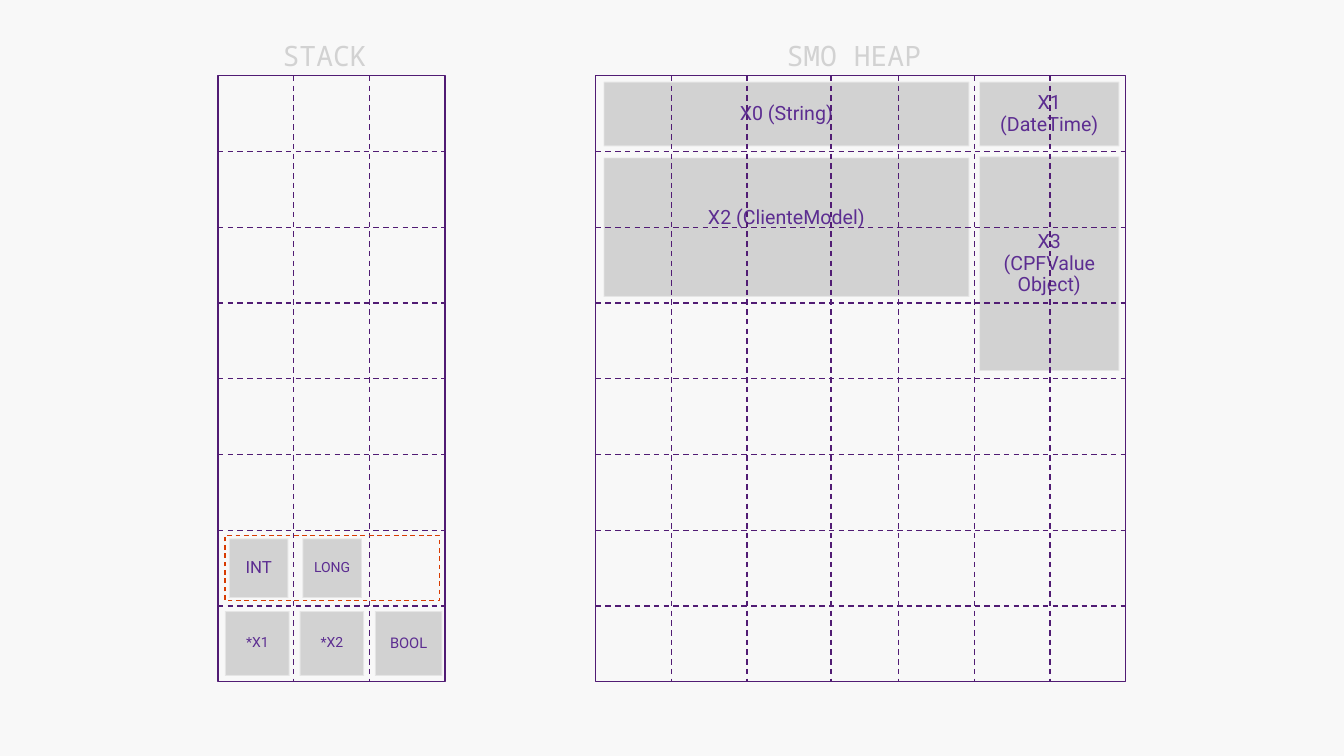
import pptx
import pptx.util
import pptx.dml.color
import pptx.enum.dml
import pptx.enum.shapes
import pptx.enum.text
import pptx.oxml.ns
import lxml.etree

Cm = pptx.util.Cm
Pt = pptx.util.Pt
RECT = pptx.enum.shapes.MSO_SHAPE.RECTANGLE
DASH = pptx.enum.dml.MSO_LINE.DASH
ANCHOR = pptx.enum.text.MSO_ANCHOR
PURPLE, VIOLET, ORANGE, GREY, PALE = "511C74", "5C2D91", "D83B01", "D2D2D2", "F9F9F9"
TOP, TALL, ROWS = 1.91, 15.27, 8
STACK = (5.49, TOP, 5.73, TALL)
HEAP = (15.01, TOP, 13.36, TALL)


def paint(fmt, color):
    """Fill a fill or font with a solid hex colour."""
    fill = fmt.fill if hasattr(fmt, "fill") else fmt
    fill.solid()
    fill.fore_color.rgb = pptx.dml.color.RGBColor.from_string(color)


def assign(item, values):
    """Set each attribute named in a dict."""
    for name, value in values.items():
        setattr(item, name, value)


def stroke(line, color, width, dash=None):
    """Give a line its colour, width and dash."""
    paint(line, color)
    assign(line, {"width": Pt(width), "dash_style": dash})


def frame(slide, box, color, width, dash=None):
    """Draw an unfilled rectangle."""
    shape = slide.shapes.add_shape(RECT, *map(Cm, box))
    shape.shadow.inherit = False
    shape.fill.background()
    stroke(shape.line, color, width, dash)
    return shape


def write(shape, text, font, size, color, body):
    """Write one centred paragraph into a shape."""
    assign(shape.text_frame, {"word_wrap": True, **body})
    para = shape.text_frame.paragraphs[0]
    assign(para, {"alignment": pptx.enum.text.PP_ALIGN.CENTER, "line_spacing": 0.9})
    run = para.add_run()
    run.text = text
    assign(run.font, {"name": font, "size": Pt(size)})
    paint(run.font, color)


def block(slide, box, text, size=14, side=0.51, top=0.41, anchor=ANCHOR.MIDDLE):
    """Draw a grey memory block with its label."""
    shape = frame(slide, box, PALE, 1.35)
    paint(shape, GREY)
    tint = shape.line.fill.fore_color
    assign(tint, {"rgb": pptx.dml.color.RGBColor.from_string(PALE)})
    for node in shape.element.spPr.find(pptx.oxml.ns.qn("a:ln")).iter(pptx.oxml.ns.qn("a:srgbClr")):
        lxml.etree.SubElement(node, pptx.oxml.ns.qn("a:alpha"), val="50000")
    write(shape, text, "Roboto", size, VIOLET, {
        "margin_left": Cm(side), "margin_right": Cm(side),
        "margin_top": Cm(top), "margin_bottom": Cm(0.41), "vertical_anchor": anchor})


def rule(slide, ends):
    """Draw one dashed grid line."""
    line = slide.shapes.add_connector(pptx.enum.shapes.MSO_CONNECTOR.STRAIGHT, *map(Cm, ends))
    stroke(line.line, PURPLE, 1, DASH)
    lxml.etree.SubElement(line.element.spPr, pptx.oxml.ns.qn("a:effectLst"))


def grid(slide, box, cols):
    """Draw a framed grid with inner lines at the given column marks."""
    left, top, wide, tall = box
    cell = tall / ROWS
    frame(slide, box, PURPLE, 1)
    for col in cols:
        x = left + col * cell
        rule(slide, (x, top, x, top + tall))
    for row in range(1, ROWS):
        y = top + row * cell
        rule(slide, (left, y, left + wide, y))


def title(slide, box, text, wide):
    """Centre a heading above a box."""
    left = box[0] + (box[2] - wide) / 2
    shape = slide.shapes.add_textbox(*map(Cm, (left, box[1] - 1.22, wide, 1.6)))
    write(shape, text, "Noto Sans Mono", 20, GREY, {
        "margin_left": Cm(0.51), "margin_right": Cm(0.85),
        "margin_top": Cm(0.41), "margin_bottom": Cm(0.41),
        "auto_size": pptx.enum.text.MSO_AUTO_SIZE.SHAPE_TO_FIT_TEXT})


def heap(slide, box):
    """Draw the heap with its objects under the grid."""
    left, top = box[:2]
    near, far = left + 0.2, left + 9.67
    block(slide, (far, top + 0.15, 3.53, 1.63), "X1 (DateTime)")
    block(slide, (far, top + 2.03, 3.53, 5.41), "X3 (CPFValueObject)")
    block(slide, (near, top + 2.06, 9.22, 3.51), "X2 (ClienteModel)", top=1.27, anchor=ANCHOR.TOP)
    block(slide, (near, top + 0.15, 9.22, 1.63), "X0 (String)")
    grid(slide, box, (1, 2, 3.11, 4, 5, 6))
    title(slide, box, "SMO HEAP", 5.26)


def stack(slide, box):
    """Draw the stack with its values over the grid."""
    left, top = box[:2]
    grid(slide, box, (1, 2))
    title(slide, box, "STACK", 3.68)
    frame(slide, (left + 0.18, top + 11.58, 5.41, 1.65), ORANGE, 0.85, DASH)
    for x, y, wide, tall, text, size, side in (
        (0.18, 13.49, 1.63, 1.63, "*X1", 10, 0.51),
        (2.06, 13.49, 1.63, 1.63, "*X2", 10, 0.51),
        (3.96, 13.49, 1.7, 1.63, "BOOL", 10.5, 0.25),
        (0.28, 11.66, 1.5, 1.5, "INT", 12, 0.25),
        (2.13, 11.66, 1.5, 1.5, "LONG", 10, 0.25),
    ):
        block(slide, (left + x, top + y, wide, tall), text, size, side)


def main():
    """Build and save the slide."""
    deck = pptx.Presentation()
    assign(deck, {"slide_width": Cm(33.87), "slide_height": Cm(19.05)})
    slide = deck.slides.add_slide(deck.slide_layouts[6])
    paint(slide.background, "F8F8F8")
    heap(slide, HEAP)
    stack(slide, STACK)
    deck.save("out.pptx")


if __name__ == "__main__":
    main()
